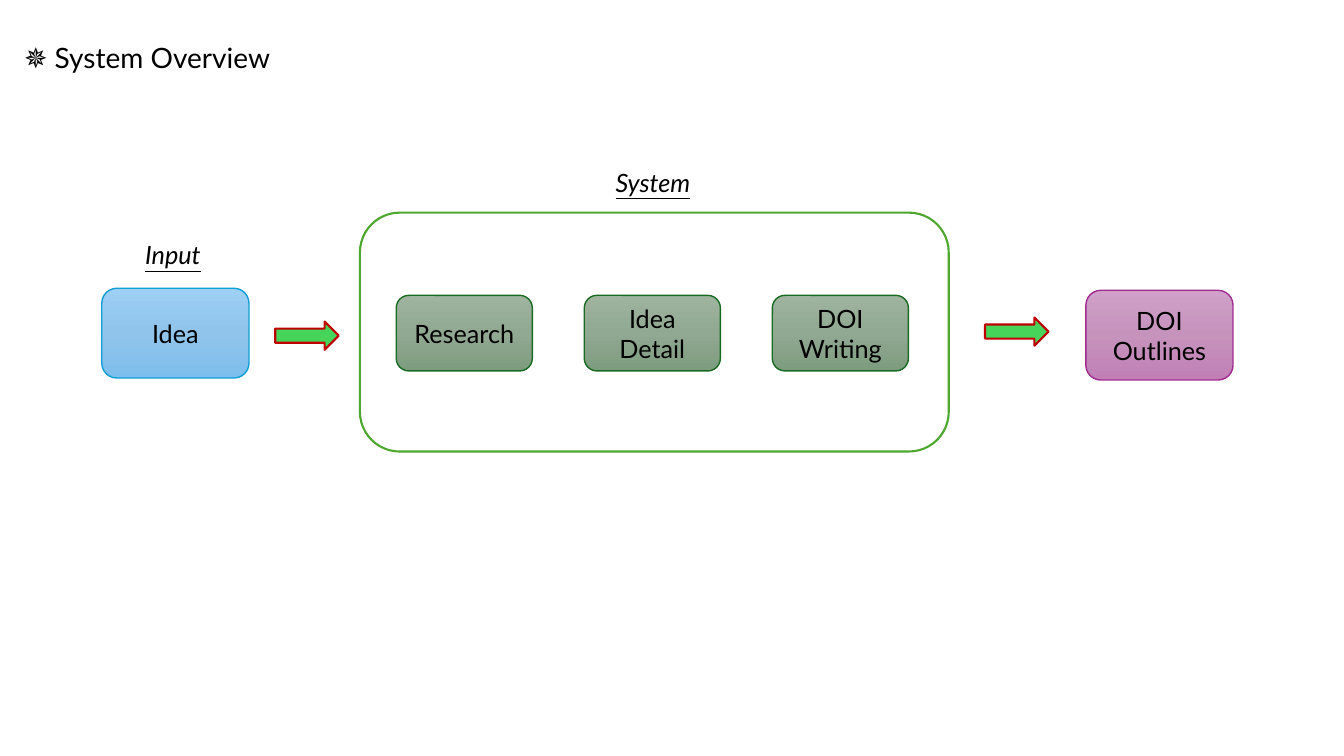
import copy

import pptx
import pptx.dml.color
import pptx.enum.shapes
import pptx.enum.text
import pptx.util
from pptx.util import Inches

TITLE = ("✵ System Overview", (0.14, 0.35, 4.98, 0.44))
CAPTIONS = [("Input", (1.11, 2.33)), ("System", (5.87, 1.61))]
CAPTION_SIZE = (1.21, 0.4)

ENDPOINTS = [("Idea", (1.01, 2.86), "input"), ("DOI Outlines", (10.77, 2.88), "output")]
ENDPOINT_SIZE = (1.46, 0.89)

SYSTEM_FRAME = (3.57, 2.11, 5.84, 2.37)
STEPS = ["Research", "Idea Detail", "DOI Writing"]
FIRST_STEP = (3.93, 2.93)
STEP_SIZE = (1.35, 0.75)
STEP_PITCH = 1.865

ARROWS = [(2.73, 3.19), (9.77, 3.15)]
ARROW_SIZE = (0.63, 0.28)

THEME = {
    "font": "Lato", "title": 20, "body": 18, "text": "000000",
    "thin": 1, "thick": 1.5,
    # Gradient stops at 0, 50 and 100 percent, or a single solid colour; then the outline
    "input": (("9ECFF5", "90C4EB", "7CBEED"), "0F9ED5"),
    "step": (("9EB49F", "91A892", "7D9C7E"), "196B24"),
    "output": (("D0A0C8", "C693BD", "C17FB6"), "A02B93"),
    "frame": (("FFFFFF",), "4EA72E"),
    "arrow": (("47D45A",), "C00000"),
}
ALIGN = pptx.enum.text.PP_ALIGN
PRESET = pptx.enum.shapes.MSO_SHAPE


def rgb(value):
    return pptx.dml.color.RGBColor.from_string(value)


def write(holder, text, size=THEME["body"], align=ALIGN.CENTER, emphasis=False):
    frame = holder.text_frame
    frame.word_wrap = True
    paragraph = frame.paragraphs[0]
    paragraph.alignment = align
    run = paragraph.add_run()
    run.text = text
    run.font.name = THEME["font"]
    run.font.size = pptx.util.Pt(size)
    run.font.color.rgb = rgb(THEME["text"])
    if emphasis:
        run.font.italic = run.font.underline = True


def add_label(slide, text, box, **text_format):
    label = slide.shapes.add_textbox(*map(Inches, box))
    write(label, text, **text_format)
    label.text_frame.auto_size = pptx.enum.text.MSO_AUTO_SIZE.SHAPE_TO_FIT_TEXT


def fill_gradient(shape, colours):
    """Fill from top to bottom with evenly spaced colours."""
    shape.fill.gradient()
    shape.fill.gradient_angle = 270
    stop_list = shape._element.spPr.find(".//" + pptx.oxml.ns.qn("a:gsLst"))
    while len(stop_list) < len(colours):
        stop_list.append(copy.deepcopy(stop_list[0]))
    for index, (stop, colour) in enumerate(zip(shape.fill.gradient_stops, colours)):
        stop.position = index / (len(colours) - 1)
        stop.color.rgb = rgb(colour)


def add_block(slide, preset, box, style, weight, text=None):
    block = slide.shapes.add_shape(preset, *map(Inches, box))
    block.shadow.inherit = False
    colours, outline = THEME[style]
    if len(colours) > 1:
        fill_gradient(block, colours)
    else:
        block.fill.solid()
        block.fill.fore_color.rgb = rgb(colours[0])
    block.line.color.rgb = rgb(outline)
    block.line.width = pptx.util.Pt(THEME[weight])
    if text:
        write(block, text)
        block.text_frame.vertical_anchor = pptx.enum.text.MSO_ANCHOR.MIDDLE


def main():
    deck = pptx.Presentation()
    deck.slide_width, deck.slide_height = Inches(13.33), Inches(7.5)
    slide = deck.slides.add_slide(deck.slide_layouts[6])

    add_label(slide, *TITLE, size=THEME["title"], align=ALIGN.LEFT)
    add_block(slide, PRESET.ROUNDED_RECTANGLE, SYSTEM_FRAME, "frame", "thick")
    for text, position in CAPTIONS:
        add_label(slide, text, position + CAPTION_SIZE, emphasis=True)
    for text, position, style in ENDPOINTS:
        add_block(slide, PRESET.ROUNDED_RECTANGLE, position + ENDPOINT_SIZE, style, "thin", text)
    left, top = FIRST_STEP
    for index, step in enumerate(STEPS):
        box = (left + index * STEP_PITCH, top) + STEP_SIZE
        add_block(slide, PRESET.ROUNDED_RECTANGLE, box, "step", "thin", step)
    for position in ARROWS:
        add_block(slide, PRESET.RIGHT_ARROW, position + ARROW_SIZE, "arrow", "thick")

    deck.save("out.pptx")


if __name__ == "__main__":
    main()
